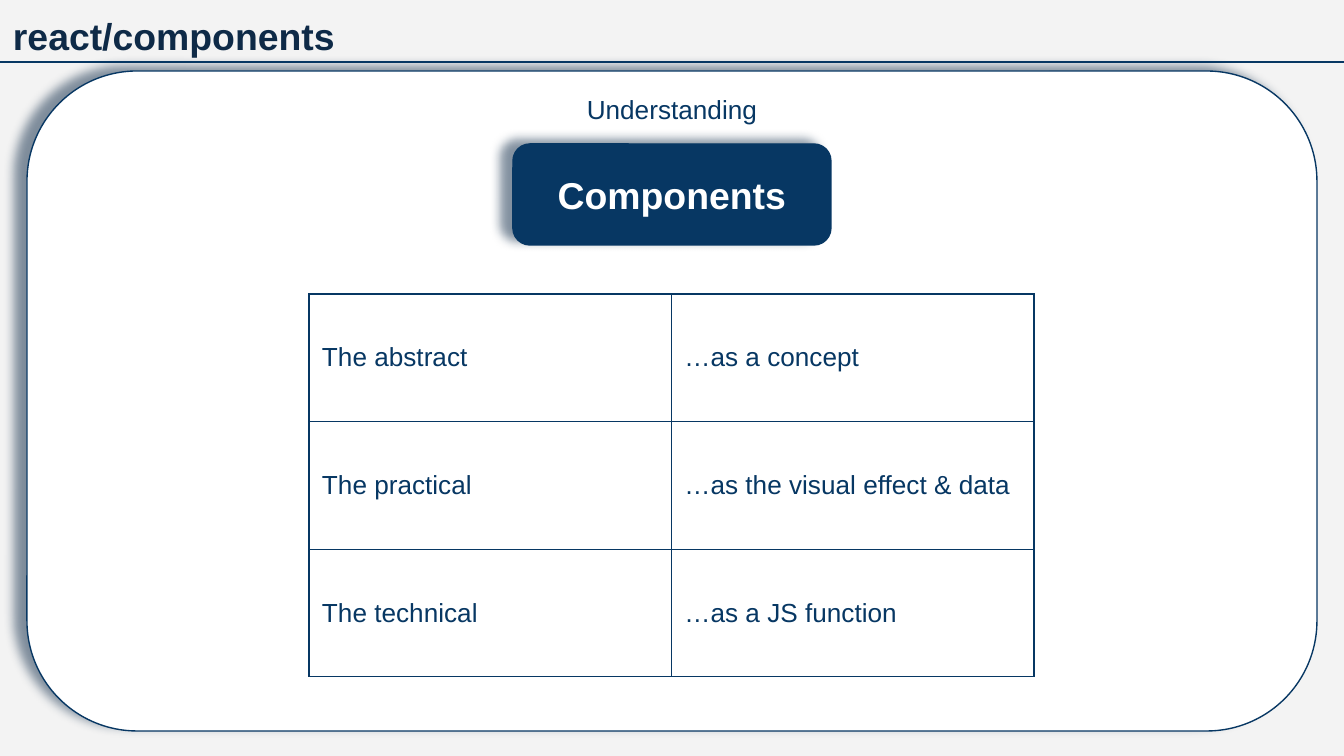
from dataclasses import dataclass

from lxml import etree
from pptx import Presentation
from pptx import util as u
from pptx.dml import color
from pptx.enum import shapes, text
from pptx.oxml import ns

SCALE = 914400 / 134.4


@dataclass(frozen=True)
class Theme:
    font: str = "Arial"
    back: str = "F3F3F3"
    white: str = "FFFFFF"
    navy: str = "073763"
    ink: str = "0E2A47"
    head: int = 20
    body: int = 14
    line: float = 0.75
    pad: int = 13


def px(n):
    return u.Emu(round(n * SCALE))


def rgb(code):
    return color.RGBColor.from_string(code)


def add(node, tag, **attrs):
    child = etree.SubElement(node, ns.qn(tag))
    for name, value in attrs.items():
        child.set(name, str(value))
    return child


class Deck:
    """Draws styled elements on the current slide."""

    def __init__(self, theme, wide, high):
        self.theme = theme
        self.show = Presentation()
        self.show.slide_width, self.show.slide_height = px(wide), px(high)
        self.slide = self.show.slides.add_slide(self.show.slide_layouts[6])
        fill = self.slide.background.fill
        fill.solid()
        fill.fore_color.rgb = rgb(theme.back)

    def inset(self, holder, anchor):
        pad = px(self.theme.pad)
        holder.margin_left = holder.margin_right = pad
        holder.margin_top = holder.margin_bottom = pad
        holder.vertical_anchor = anchor

    def fit(self, frame, words, size, tint, bold=False, align=text.PP_ALIGN.LEFT):
        para = frame.paragraphs[0]
        para.text = words
        para.alignment = align
        para.font.name = self.theme.font
        para.font.size = u.Pt(size)
        para.font.bold = bold
        para.font.color.rgb = rgb(tint)

    def label(self, box, words, size, tint, **style):
        frame = self.slide.shapes.add_textbox(*map(px, box)).text_frame
        frame.word_wrap = True
        self.inset(frame, text.MSO_ANCHOR.TOP)
        self.fit(frame, words, size, tint, **style)

    def stroke(self, line):
        line.color.rgb = rgb(self.theme.navy)
        line.width = u.Pt(self.theme.line)

    def panel(self, box, tint):
        shape = self.slide.shapes.add_shape(
            shapes.MSO_SHAPE.ROUNDED_RECTANGLE, *map(px, box))
        shape.adjustments[0] = 0.167
        shape.fill.solid()
        shape.fill.fore_color.rgb = rgb(tint)
        self.stroke(shape.line)
        self.shade(shape)
        return shape

    def shade(self, shape):
        shape.shadow.inherit = False
        effects = shape.element.spPr.find(ns.qn("a:effectLst"))
        outer = add(effects, "a:outerShdw", blurRad=u.Pt(5.6), dist=u.Pt(6.8),
                    dir=199 * 60000, algn="bl", rotWithShape=0)
        tint = add(outer, "a:srgbClr", val=self.theme.ink)
        add(tint, "a:alpha", val=51000)

    def badge(self, box, words):
        frame = self.panel(box, self.theme.navy).text_frame
        frame.word_wrap = True
        self.inset(frame, text.MSO_ANCHOR.MIDDLE)
        self.fit(frame, words, self.theme.head, self.theme.white,
                 bold=True, align=text.PP_ALIGN.CENTER)

    def rule(self, left, right, top):
        line = self.slide.shapes.add_connector(
            shapes.MSO_CONNECTOR.STRAIGHT, px(left), px(top), px(right), px(top))
        self.stroke(line.line)
        add(line.element.spPr, "a:effectLst")

    def border(self, cell):
        props = cell._tc.get_or_add_tcPr()
        for side in ("a:lnL", "a:lnR", "a:lnT", "a:lnB"):
            edge = add(props, side, w=u.Pt(self.theme.line))
            add(add(edge, "a:solidFill"), "a:srgbClr", val=self.theme.navy)

    def table(self, box, rows):
        grid = self.slide.shapes.add_table(
            len(rows), len(rows[0]), *map(px, box)).table
        grid.first_row = grid.horz_banding = False
        for r, row in enumerate(rows):
            for c, words in enumerate(row):
                cell = grid.cell(r, c)
                self.border(cell)
                cell.fill.background()
                self.inset(cell, text.MSO_ANCHOR.MIDDLE)
                self.fit(cell.text_frame, words, self.theme.body, self.theme.navy)


def main():
    theme = Theme()
    deck = Deck(theme, 1344, 756)
    deck.label((0, 0, 1344, 67), "react/components", theme.head, theme.ink, bold=True)
    deck.panel((27, 71, 1290, 660), theme.white)
    deck.rule(0, 1344, 62)
    deck.badge((513, 144, 318, 101), "Components")
    deck.table((309, 294, 725, 383), [
        ("The abstract", "…as a concept"),
        ("The practical", "…as the visual effect & data"),
        ("The technical", "…as a JS function"),
    ])
    deck.label((452, 80, 440, 59), "Understanding", theme.body, theme.navy,
               align=text.PP_ALIGN.CENTER)
    deck.show.save("out.pptx")


if __name__ == "__main__":
    main()
